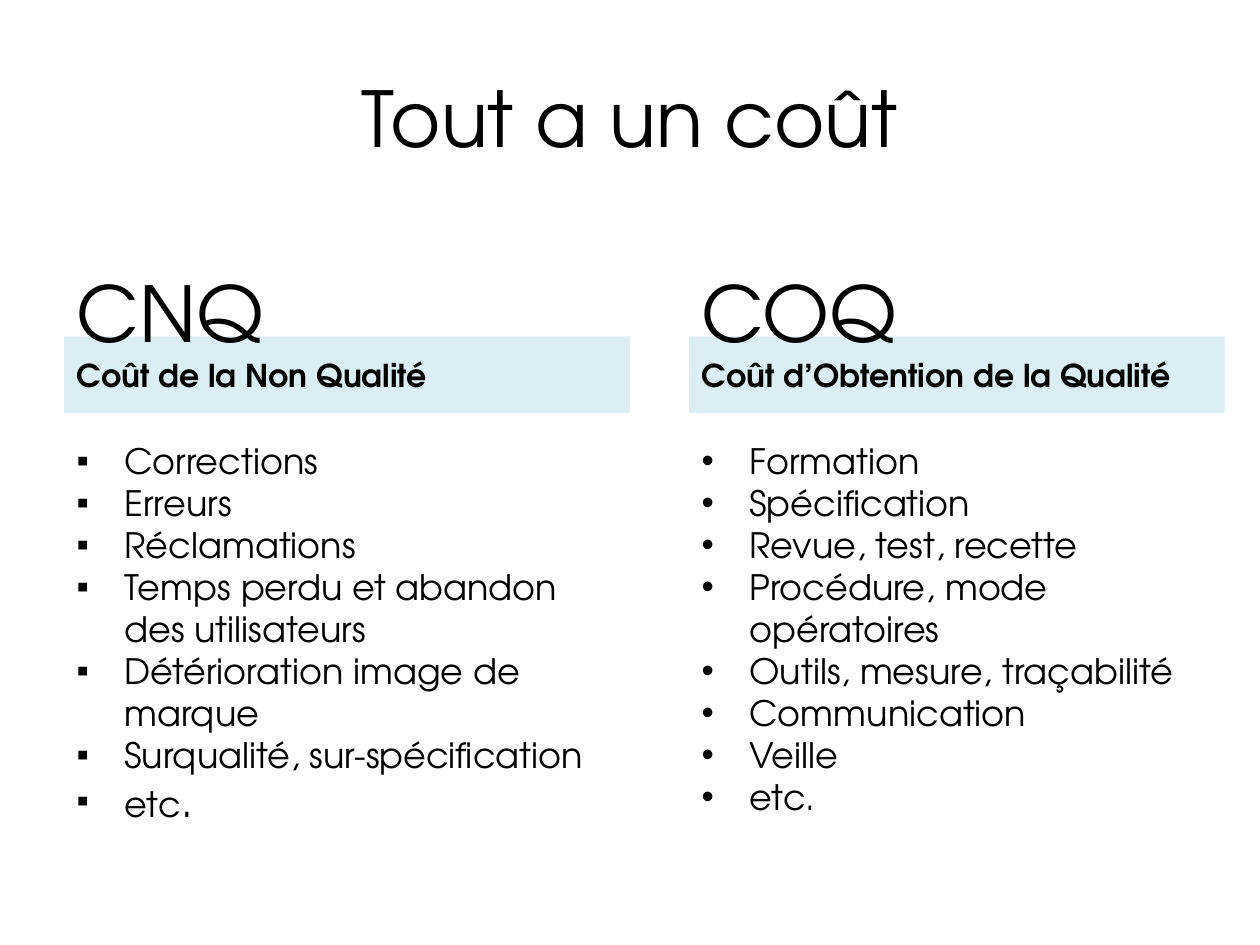
from dataclasses import dataclass

from lxml.etree import SubElement
from pptx import Presentation
from pptx.dml.color import RGBColor
from pptx.enum.shapes import MSO_SHAPE
from pptx.enum.text import MSO_ANCHOR, MSO_AUTO_SIZE, PP_ALIGN
from pptx.oxml.ns import qn
from pptx.slide import Slide
from pptx.text.text import TextFrame, _Paragraph
from pptx.util import Inches, Pt

FONT = "TeX Gyre Adventor"
BLACK = RGBColor(0x00, 0x00, 0x00)
PALE = RGBColor(0xDB, 0xEE, 0xF4)
INDENT = Inches(0.38)


@dataclass
class Column:
    left: float
    width: float
    list_high: float
    code: str
    name: str
    mark: str
    items: list[str]


COLUMNS = [
    Column(0.51, 4.49, 3.2, "CNQ", "Coût de la Non Qualité", "▪", [
        "Corrections",
        "Erreurs",
        "Réclamations",
        "Temps perdu et abandon des utilisateurs",
        "Détérioration image de marque",
        "Surqualité, sur-spécification",
        "etc",
    ]),
    Column(5.47, 4.25, 3.13, "COQ", "Coût d’Obtention de la Qualité", "•", [
        "Formation",
        "Spécification",
        "Revue, test, recette",
        "Procédure, mode opératoires",
        "Outils, mesure, traçabilité",
        "Communication",
        "Veille",
        "etc.",
    ]),
]


def style(par: _Paragraph, size: float, bold: bool = False) -> None:
    for run in par.runs:
        font = run.font
        font.name, font.size, font.bold = FONT, Pt(size), bold
        font.color.rgb = BLACK


def add_text(slide: Slide, left: float, top: float, width: float,
             high: float, text: str, size: float) -> TextFrame:
    box = slide.shapes.add_textbox(
        Inches(left), Inches(top), Inches(width), Inches(high))
    frame = box.text_frame
    frame.word_wrap = True
    frame.text = text
    for par in frame.paragraphs:
        style(par, size)
    return frame


def add_mark(par: _Paragraph, mark: str) -> None:
    props = par._p.get_or_add_pPr()
    props.set("marL", str(INDENT))
    props.set("indent", str(-INDENT))
    SubElement(props, qn("a:buFont")).set("typeface", "Arial")
    SubElement(props, qn("a:buChar")).set("char", mark)


def add_band(slide: Slide, col: Column) -> None:
    band = slide.shapes.add_shape(
        MSO_SHAPE.RECTANGLE, Inches(col.left), Inches(2.67),
        Inches(col.width), Inches(0.61))
    band.shadow.inherit = False
    band.fill.solid()
    band.fill.fore_color.rgb = PALE
    band.line.fill.background()
    frame = band.text_frame
    frame.text = col.name
    frame.vertical_anchor = MSO_ANCHOR.MIDDLE
    par = frame.paragraphs[0]
    par.alignment = PP_ALIGN.LEFT
    style(par, 18, bold=True)


def add_list(slide: Slide, col: Column) -> TextFrame:
    frame = add_text(slide, col.left, 3.44, col.width, col.list_high,
                     "\n".join(col.items), 20)
    frame.auto_size = MSO_AUTO_SIZE.SHAPE_TO_FIT_TEXT
    for par in frame.paragraphs:
        add_mark(par, col.mark)
    return frame


def main() -> None:
    deck = Presentation()
    deck.slide_width, deck.slide_height = Inches(10), Inches(7.5)
    slide = deck.slides.add_slide(deck.slide_layouts[6])

    # Title
    title = add_text(slide, 0.5, 0.3, 9, 1.25, "Tout a un coût", 44)
    title.vertical_anchor = MSO_ANCHOR.MIDDLE
    title.paragraphs[0].alignment = PP_ALIGN.CENTER

    # Columns: band, list, then the code overlapping the band
    lists = []
    for col in COLUMNS:
        add_band(slide, col)
        lists.append(add_list(slide, col))
        code = add_text(slide, col.left, 2.06, col.width, 0.84, col.code, 44)
        code.auto_size = MSO_AUTO_SIZE.SHAPE_TO_FIT_TEXT

    # The first list ends with a larger full stop
    last = lists[0].paragraphs[-1]
    stop = last.add_run()
    stop.text = "."
    style(last, 20)
    stop.font.size = Pt(24)

    deck.save("out.pptx")


if __name__ == "__main__":
    main()
